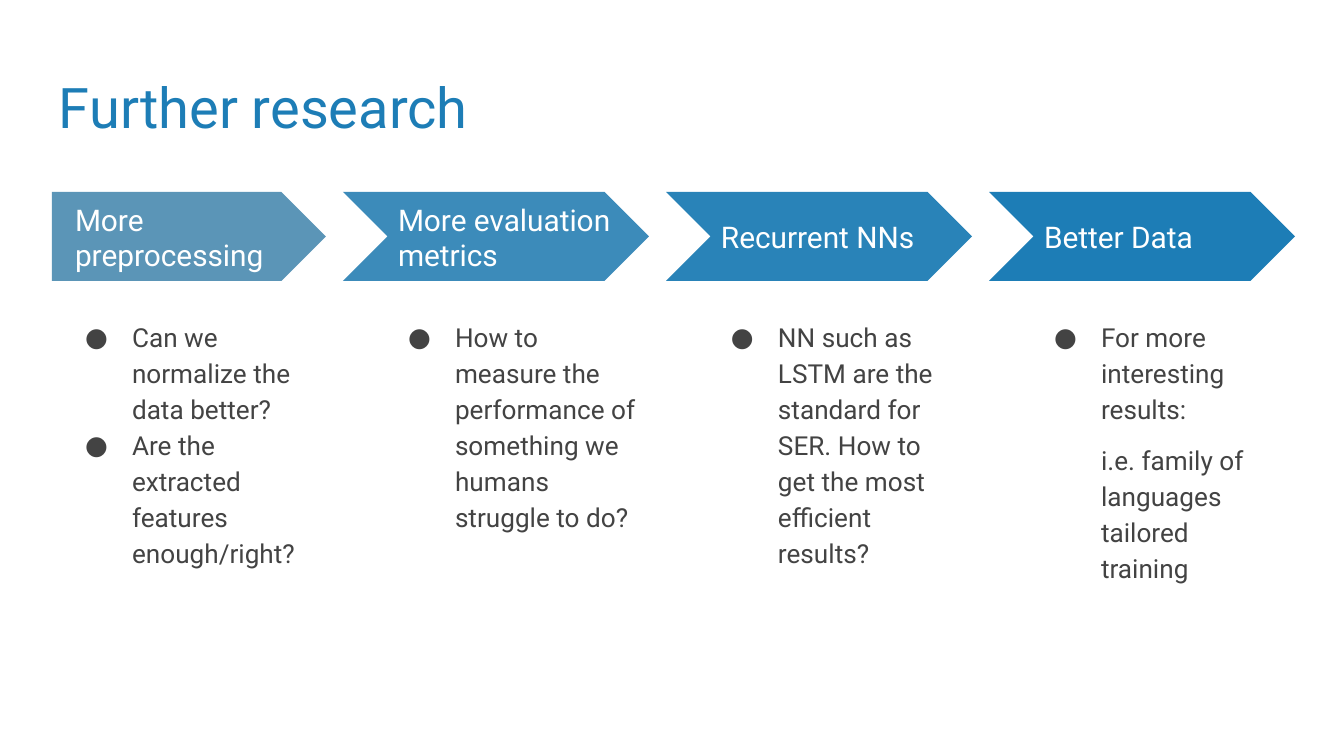
from dataclasses import dataclass

from pptx import Presentation
from pptx.dml.color import RGBColor
from pptx.enum.shapes import MSO_SHAPE
from pptx.enum.text import MSO_ANCHOR, MSO_AUTO_SIZE, PP_ALIGN
from pptx.oxml.ns import qn
from pptx.util import Pt
from lxml.etree import SubElement

TITLE = "Further research"
STEPS = [
    {"label": "More preprocessing", "color": "5B95B7",
     "bullets": ["Can we normalize the data better?",
                 "Are the extracted features enough/right?"]},
    {"label": "More evaluation metrics", "color": "3C8BBA",
     "bullets": ["How to measure the performance of something we humans struggle to do?"]},
    {"label": "Recurrent NNs", "color": "2983B8",
     "bullets": ["NN such as LSTM are the standard for SER. "
                 "How to get the most efficient results?"]},
    {"label": "Better Data", "color": "1D7DB6",
     "bullets": ["For more interesting results:"],
     "detail": "i.e. family of languages tailored training"},
]


@dataclass(frozen=True)
class Theme:
    font: str = "Roboto"
    title_color: str = "1D7DB6"
    label_color: str = "FFFFFF"
    body_color: str = "434343"
    title_size: int = 30
    label_size: int = 16
    body_size: int = 14


THEME = Theme()
EMU_PER_PX = 914400 / 134.4
INSET = 13
FIRST_TIP, STEP_PITCH = 326, 323
FIRST_WIDTH, CHEVRON_WIDTH = 274, 306
LABEL_OFFSET, LABEL_WIDTH = 264, 250
BULLET_INDENT, BULLET_HANG = 67, 47


def px(length):
    return round(length * EMU_PER_PX)


def place(shape, left, top, width, height):
    shape.left, shape.top, shape.width, shape.height = map(px, (left, top, width, height))


def prepare_frame(shape, anchor=MSO_ANCHOR.TOP):
    frame = shape.text_frame
    frame.word_wrap = True
    frame.auto_size = MSO_AUTO_SIZE.NONE
    frame.vertical_anchor = anchor
    frame.margin_left = frame.margin_right = px(INSET)
    frame.margin_top = frame.margin_bottom = px(INSET)
    return frame


def format_text(frame, size, color):
    for para in frame.paragraphs:
        para.alignment = PP_ALIGN.LEFT
        for span in para.runs:
            span.font.name = THEME.font
            span.font.size = Pt(size)
            span.font.bold = False
            span.font.color.rgb = RGBColor.from_string(color)


def format_item(para, bulleted):
    para.line_spacing = 1.15
    para.space_before = para.space_after = Pt(0 if bulleted else 8)
    properties = para._p.get_or_add_pPr()
    properties.set("marL", str(px(BULLET_INDENT)))
    properties.set("indent", str(-px(BULLET_HANG) if bulleted else 0))
    if bulleted:
        color = SubElement(properties, qn("a:buClr"))
        SubElement(color, qn("a:srgbClr"), val=THEME.body_color)
        SubElement(properties, qn("a:buFont"), typeface=THEME.font)
        SubElement(properties, qn("a:buChar"), char="●")
    else:
        SubElement(properties, qn("a:buNone"))


def add_arrow(slide, preset, tip, width, color):
    arrow = slide.shapes.add_shape(preset, px(tip - width), px(192), px(width), px(89))
    arrow.shadow.inherit = False
    arrow.fill.solid()
    arrow.fill.fore_color.rgb = RGBColor.from_string(color)
    arrow.line.fill.background()


def add_label(slide, tip, text):
    box = slide.shapes.add_textbox(px(tip - LABEL_OFFSET), px(214), px(LABEL_WIDTH), px(46))
    frame = prepare_frame(box, MSO_ANCHOR.MIDDLE)
    frame.text = text
    format_text(frame, THEME.label_size, THEME.label_color)


def fill_list(body, tip, step):
    place(body, tip - FIRST_WIDTH, 304, FIRST_WIDTH, 390)
    frame = prepare_frame(body)
    bullets = step["bullets"]
    details = [step["detail"]] if "detail" in step else []
    frame.text = "\n".join(bullets + details)
    format_text(frame, THEME.body_size, THEME.body_color)
    for index, para in enumerate(frame.paragraphs):
        format_item(para, index < len(bullets))


def main():
    deck = Presentation()
    deck.slide_width, deck.slide_height = px(1344), px(756)
    comparison = deck.slide_layouts.get_by_name("Comparison")
    slide = deck.slides.add_slide(comparison)

    title = slide.shapes.title
    place(title, 46, 60, 1253, 89)
    frame = prepare_frame(title)
    frame.text = TITLE
    format_text(frame, THEME.title_size, THEME.title_color)

    bodies = [shape for shape in slide.placeholders if 1 <= shape.placeholder_format.idx <= 4]
    for index, (step, body) in enumerate(zip(STEPS, bodies)):
        tip = FIRST_TIP + index * STEP_PITCH
        preset = MSO_SHAPE.CHEVRON if index else MSO_SHAPE.PENTAGON
        width = CHEVRON_WIDTH if index else FIRST_WIDTH
        add_arrow(slide, preset, tip, width, step["color"])
        add_label(slide, tip, step["label"])
        fill_list(body, tip, step)

    deck.save("out.pptx")


if __name__ == "__main__":
    main()
